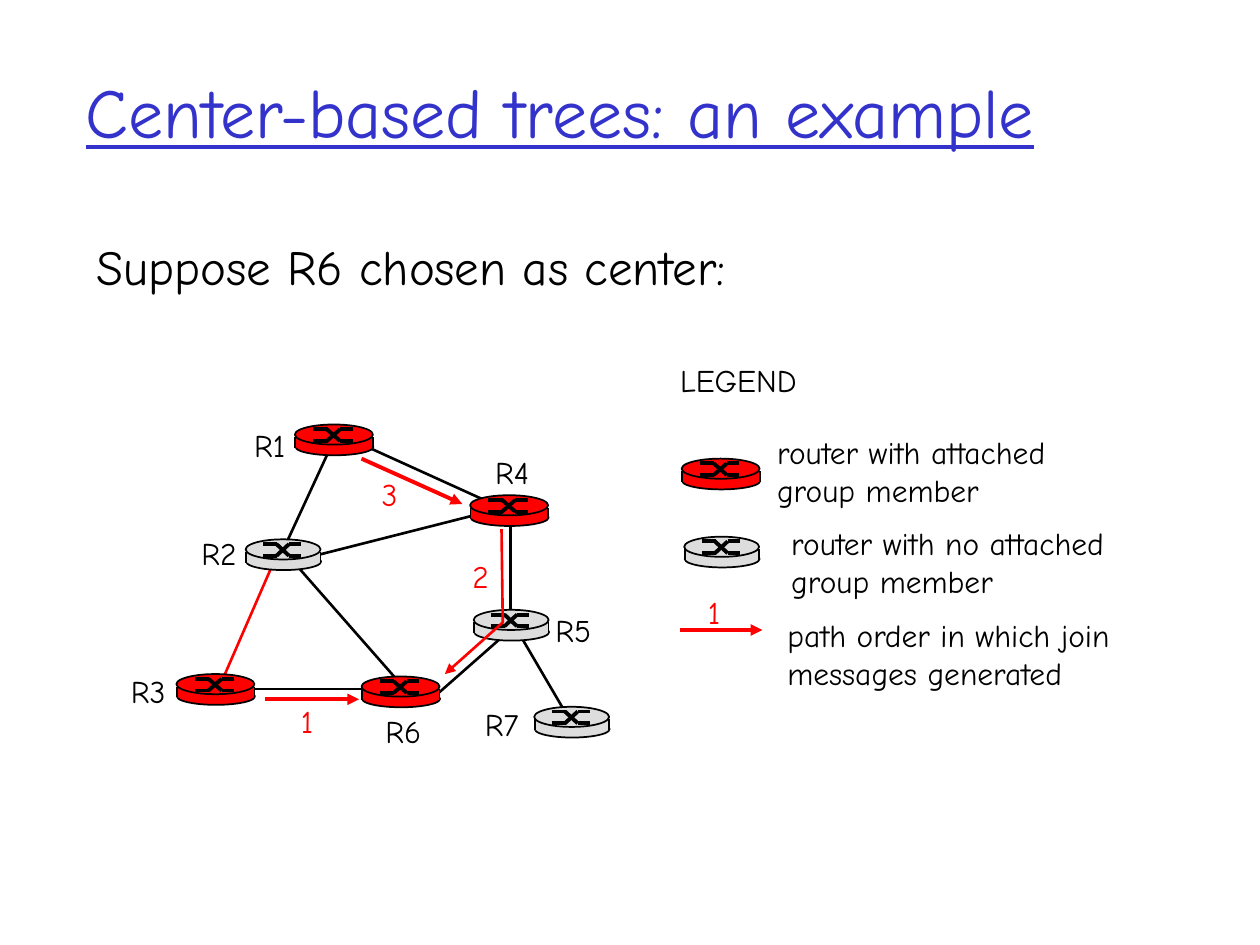
from pptx import Presentation
from pptx.dml.color import RGBColor
from pptx.enum.shapes import MSO_CONNECTOR, MSO_SHAPE
from pptx.enum.text import MSO_ANCHOR
from pptx.oxml.ns import qn
from pptx.util import Pt
from lxml import etree

STRAIGHT = MSO_CONNECTOR.STRAIGHT
OVAL, RECT = MSO_SHAPE.OVAL, MSO_SHAPE.RECTANGLE
TOP, MIDDLE = MSO_ANCHOR.TOP, MSO_ANCHOR.MIDDLE
FONT = "Comic Neue"
HUES = {"blue": "3333CC", "black": "000000", "red": "FF0000", "gray": "DDDDDD"}
HUES = {name: RGBColor.from_string(code) for name, code in HUES.items()}

deck = Presentation()
deck.slide_width, deck.slide_height = Pt(720), Pt(540)
slide = deck.slides.add_slide(deck.slide_layouts[6])


def write(text, x, y, w, h=28.8, size=18, hue="black", wrap=False,
          anchor=TOP, under=False):
    frame = slide.shapes.add_textbox(Pt(x), Pt(y), Pt(w), Pt(h)).text_frame
    frame.word_wrap = wrap
    frame.vertical_anchor = anchor
    frame.text = text
    for para in frame.paragraphs:
        font = para.font
        font.name, font.size, font.underline = FONT, Pt(size), under
        font.color.rgb = HUES[hue]


def link(shapes, dots, hue="black", width=1.5, arrow=False):
    """Join the dots with a connector, or with an open outline if over two."""
    dots = [(Pt(x), Pt(y)) for x, y in dots]
    if len(dots) == 2:
        line = shapes.add_connector(STRAIGHT, *dots[0], *dots[1])
    else:
        pen = shapes.build_freeform(*dots[0])
        pen.add_line_segments(dots[1:], close=False)
        line = pen.convert_to_shape()
        line.fill.background()
    line.line.color.rgb = HUES[hue]
    line.line.width = Pt(width)
    props = line.element.spPr
    if arrow:
        tail = etree.SubElement(props.find(qn("a:ln")), qn("a:tailEnd"))
        tail.set("type", "triangle")
    etree.SubElement(props, qn("a:effectLst"))


write("Center-based trees: an example", 41.8, 18, 612, 90, size=40,
      hue="blue", wrap=True, anchor=MIDDLE, under=True)
write("Suppose R6 chosen as center:", 48.2, 131.8, 630, 366, size=28, wrap=True)

# Network links, under the routers
for x1, y1, x2, y2, hue in [
    (293.8, 357.1, 325.4, 411.1, "black"),
    (182.9, 316.8, 290.9, 289.4, "black"),
    (162, 314.6, 229.7, 391.7, "black"),
    (208.8, 254.9, 286.6, 290.2, "black"),
    (250.6, 396, 292.3, 359.3, "black"),
    (291.6, 298.1, 291.6, 354.2, "black"),
    (136.1, 393.8, 216.7, 393.8, "black"),
    (155.5, 323.3, 126.7, 389.5, "red"),
    (188.6, 256.3, 161.3, 315.4, "black"),
]:
    link(slide.shapes, [(x1, y1), (x2, y2)], hue)

# Routers: a drum with a crossed switch mark; the last two are legend keys
for x, y, hue in [
    (206.6, 386.6, "red"), (268.6, 283, "red"), (100.8, 385.2, "red"),
    (270.7, 348.5, "gray"), (140.4, 308.2, "gray"), (168.5, 242.6, "red"),
    (305.3, 403.9, "gray"), (389.5, 262.1, "red"), (391, 306.7, "gray"),
]:
    wide = 44.6 if hue == "red" else 42.8
    parts = slide.shapes.add_group_shape().shapes
    for kind, dx, dy, w, h in [
        (OVAL, 0.3, 7.9, wide, 9.7),
        (RECT, 0.3, 7.2, wide - 0.5, 6.1),
        (OVAL, 0, 0, wide, 11.5),
    ]:
        part = parts.add_shape(kind, Pt(x + dx), Pt(y + dy), Pt(w), Pt(h))
        part.shadow.inherit = False
        part.fill.solid()
        part.fill.fore_color.rgb = HUES[hue]
        if kind == RECT:
            part.line.fill.background()
            for side in (x + 0.3, x + wide):
                link(parts, [(side, y + 7.2), (side, y + 13.3)], width=1)
        else:
            part.line.color.rgb = HUES["black"]
            part.line.width = Pt(1)
    a, b, c, d = [x + wide * part for part in (0.235, 0.41, 0.58, 0.74)]
    high, low = y + 2.7, y + 9.4
    for start, end in [(high, low), (low, high)]:
        link(parts, [(a, start), (b + 0.5, start)], width=2.25)
        link(parts, [(b, start), (c, end)], width=2.25)
        link(parts, [(c, end), (d, end)], width=2.25)

for text, x, y in [
    ("R1", 138.2, 239.8), ("R2", 108, 301.7), ("R3", 67.7, 380.2),
    ("R4", 275.8, 255.6), ("R5", 310.3, 345.6), ("R6", 213.1, 403.2),
    ("R7", 270, 399.6),
]:
    write(text, x, y, 33.8 if text == "R1" else 36.7)

# Legend
write("LEGEND", 381.6, 203, 86.4)
write("router with attached\ngroup member", 437, 244.1, 191.5, 50.4)
write("router with no attached\ngroup member", 445, 295.9, 216, 50.4)
write("path order in which join messages generated", 442.8, 348.5, 238.3, 50.4,
      wrap=True)

# Join paths and their order
for dots, width in [
    ([(388.8, 360), (435.6, 360)], 2.25),
    ([(286.6, 302.4), (287.3, 355.7), (254.2, 385.2)], 1.5),
    ([(151.2, 399.6), (205.2, 399.6)], 2.25),
    ([(206.6, 262.1), (264.2, 288)], 2.25),
]:
    link(slide.shapes, dots, "red", width, arrow=True)
for text, x, y in [("1", 397.4, 335.5), ("2", 262.8, 314.6),
                   ("1", 164.9, 397.4), ("3", 211, 267.8)]:
    write(text, x, y, 22.3 if text == "1" else 25.2, hue="red")

deck.save("out.pptx")
